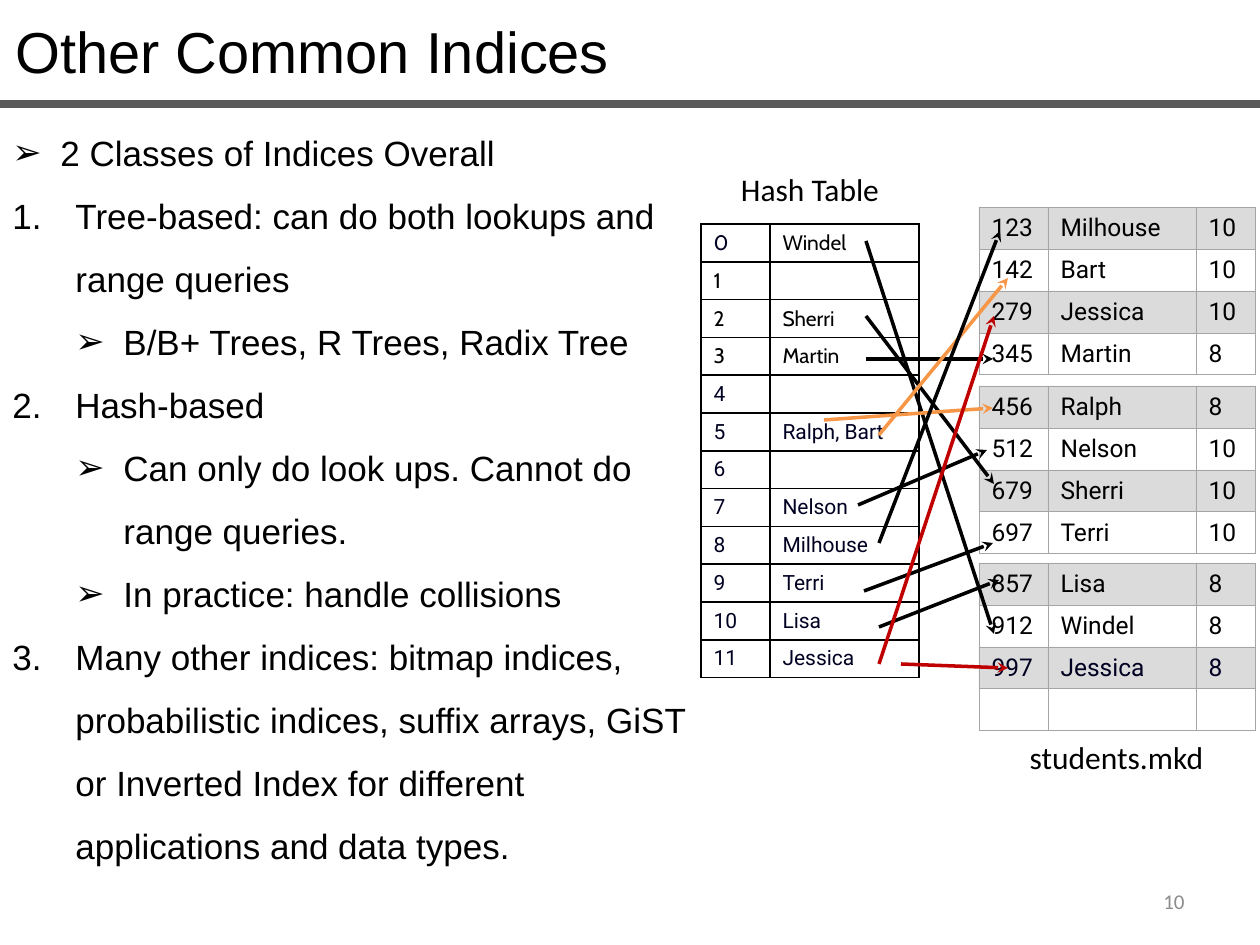
import pptx
import pptx.util
import pptx.dml.color
import pptx.enum.shapes
import pptx.enum.text
import pptx.oxml.ns
from lxml import etree

RGB = pptx.dml.color.RGBColor
BLACK = RGB(0x00, 0x00, 0x00)
NAVY = RGB(0x00, 0x00, 0x22)
SLATE = RGB(0x59, 0x59, 0x59)
GRAY = RGB(0xA5, 0xA5, 0xA5)
PALE = RGB(0x8C, 0x8C, 0x8C)
ORANGE = RGB(0xF7, 0x96, 0x46)
RED = RGB(0xC0, 0x00, 0x00)
ALIGN = pptx.enum.text.PP_ALIGN
ANCHOR = pptx.enum.text.MSO_ANCHOR
Pt = pptx.util.Pt

POINTS = [
    ("➢", 0, 48, 48, "2 Classes of Indices Overall"),
    ("1.", 0, 63, 63, "Tree-based: can do both lookups and range queries"),
    ("➢", 1, 111, 48, "B/B+ Trees, R Trees, Radix Tree"),
    ("1.", 0, 63, 63, "Hash-based"),
    ("➢", 1, 111, 48, "Can only do look ups. Cannot do range queries."),
    ("➢", 1, 111, 48, "In practice: handle collisions"),
    ("1.", 0, 63, 63, "Many other indices: bitmap indices, probabilistic indices, suffix arrays, "
     "GiST or Inverted Index for different applications and data types."),
]
PAGES = [
    (207, [("123", "Milhouse", "10"), ("142", "Bart", "10"),
           ("279", "Jessica", "10"), ("345", "Martin", "8")]),
    (386, [("456", "Ralph", "8"), ("512", "Nelson", "10"),
           ("679", "Sherri", "10"), ("697", "Terri", "10")]),
    (563, [("857", "Lisa", "8"), ("912", "Windel", "8"),
           ("997", "Jessica", "8"), ("", "", "")]),
]
BUCKETS = ["Windel", "", "Sherri", "Martin", "", "Ralph, Bart",
           "", "Nelson", "Milhouse", "Terri", "Lisa", "Jessica"]
ARROWS = [
    (866, 241, 994, 634, BLACK), (866, 316, 994, 484, BLACK),
    (866, 359, 993, 359, BLACK), (824, 420, 993, 408, ORANGE),
    (879, 435, 1008, 278, ORANGE), (858, 505, 987, 450, BLACK),
    (879, 543, 1000, 231, BLACK), (864, 591, 993, 543, BLACK),
    (879, 627, 999, 580, BLACK), (879, 664, 994, 316, RED),
    (901, 664, 1008, 668, RED),
]


def px(n):
    return round(n * 914400 / 126)


def sub(parent, tag, **attrs):
    return etree.SubElement(parent, pptx.oxml.ns.qn(tag), attrs)


def write(p, text, size=20, font="Arial", color=BLACK, align=ALIGN.LEFT):
    p.alignment = align
    if not text:
        sub(p._p, "a:endParaRPr", sz=str(size * 100))
        return
    r = p.add_run()
    r.text = text
    r.font.size = Pt(size)
    r.font.name = font
    r.font.bold = False
    r.font.color.rgb = color


class Deck:
    def __init__(self, width, height):
        self.prs = pptx.Presentation()
        self.prs.slide_width = px(width)
        self.prs.slide_height = px(height)
        self.s = self.prs.slides.add_slide(self.prs.slide_layouts[5])

    def title(self, x, y, w, h, text, **style):
        sp = self.s.shapes.title
        sp.left, sp.top, sp.width, sp.height = map(px, (x, y, w, h))
        tf = sp.text_frame
        tf.auto_size = pptx.enum.text.MSO_AUTO_SIZE.NONE
        tf.vertical_anchor = ANCHOR.TOP
        write(tf.paragraphs[0], text, **style)

    def box(self, x, y, w, h, anchor=ANCHOR.TOP):
        tf = self.s.shapes.add_textbox(*map(px, (x, y, w, h))).text_frame
        tf.word_wrap = True
        tf.vertical_anchor = anchor
        return tf

    def label(self, x, y, w, h, text, anchor=ANCHOR.TOP, **style):
        write(self.box(x, y, w, h, anchor).paragraphs[0], text, **style)

    def bullets(self, x, y, w, h, points):
        tf = self.box(x, y, w, h)
        for i, (mark, level, margin, hang, text) in enumerate(points):
            p = tf.add_paragraph() if i else tf.paragraphs[0]
            p.level = level
            p.line_spacing = 1.5
            write(p, text)
            pPr = p._p.get_or_add_pPr()
            pPr.set("marL", str(px(margin)))
            pPr.set("indent", str(-px(hang)))
            sub(pPr, "a:buFont", typeface="Arial")
            if mark == "1.":
                sub(pPr, "a:buAutoNum", type="arabicPeriod")
            else:
                sub(pPr, "a:buChar", char=mark)

    def line(self, x1, y1, x2, y2, color, width, arrow=False):
        kind = pptx.enum.shapes.MSO_CONNECTOR.STRAIGHT
        c = self.s.shapes.add_connector(kind, *map(px, (x1, y1, x2, y2)))
        c.line.color.rgb = color
        c.line.width = Pt(width)
        if arrow:
            sub(c.line._get_or_add_ln(), "a:tailEnd", type="stealth")
        sub(c._element.spPr, "a:effectLst")

    def borders(self, cell, color, width):
        tcPr = cell._tc.get_or_add_tcPr()
        for i, side in enumerate(("a:lnL", "a:lnR", "a:lnT", "a:lnB")):
            ln = sub(tcPr, side, w=str(Pt(width)))
            sub(sub(ln, "a:solidFill"), "a:srgbClr", val=str(color))
            tcPr.insert(i, ln)

    def table(self, x, y, cols, height, rows, style, border, banded=False):
        frame = self.s.shapes.add_table(
            len(rows), len(cols), px(x), px(y), px(sum(cols)), px(height))
        t = frame.table
        t.first_row = t.horz_banding = False
        for col, width in zip(t.columns, cols):
            col.width = px(width)
        for i, row in enumerate(rows):
            t.rows[i].height = px(height / len(rows))
            for j, text in enumerate(row):
                cell = t.cell(i, j)
                cell.margin_top = cell.margin_bottom = px(2)
                cell.vertical_anchor = ANCHOR.MIDDLE
                write(cell.text_frame.paragraphs[0], text, **style(i, j))
                if banded and i % 2 == 0:
                    cell.fill.solid()
                    cell.fill.fore_color.rgb = GRAY
                    shade = cell._tc.tcPr.find(".//" + pptx.oxml.ns.qn("a:srgbClr"))
                    sub(shade, "a:alpha", val="40000")
                else:
                    cell.fill.background()
                self.borders(cell, *border)


def bucket_style(i, j):
    return dict(size=12, font="Cabin" if i < 4 else "Roboto",
                color=NAVY if i > 3 or (i, j) == (0, 0) else BLACK)


def main():
    d = Deck(1260, 945)
    d.title(3, 9, 1257, 83, "Other Common Indices", size=33)
    d.line(0, 104, 1260, 104, SLATE, 4.5)
    d.label(903, 876, 294, 50, "10", ANCHOR.MIDDLE,
            size=12, font="Calibri", color=PALE, align=ALIGN.RIGHT)
    d.bullets(0, 104, 722, 769, POINTS)
    for top, rows in PAGES:
        d.table(979, top, (69, 148, 60), 168, rows,
                lambda i, j: dict(size=14, font="Roboto",
                                  color=NAVY if rows[i][0] == "997" else BLACK),
                (GRAY, 0.5), banded=True)
    d.table(701, 224, (69, 149), 454,
            [(str(i), name) for i, name in enumerate(BUCKETS)],
            bucket_style, (BLACK, 1))
    for *ends, color in ARROWS:
        d.line(*ends, color, 2, arrow=True)
    caption = dict(size=18, font="Calibri", align=ALIGN.CENTER)
    d.label(701, 164, 218, 50, "Hash Table", **caption)
    d.label(1008, 732, 217, 50, "students.mkd", **caption)
    d.prs.save("out.pptx")


if __name__ == "__main__":
    main()
